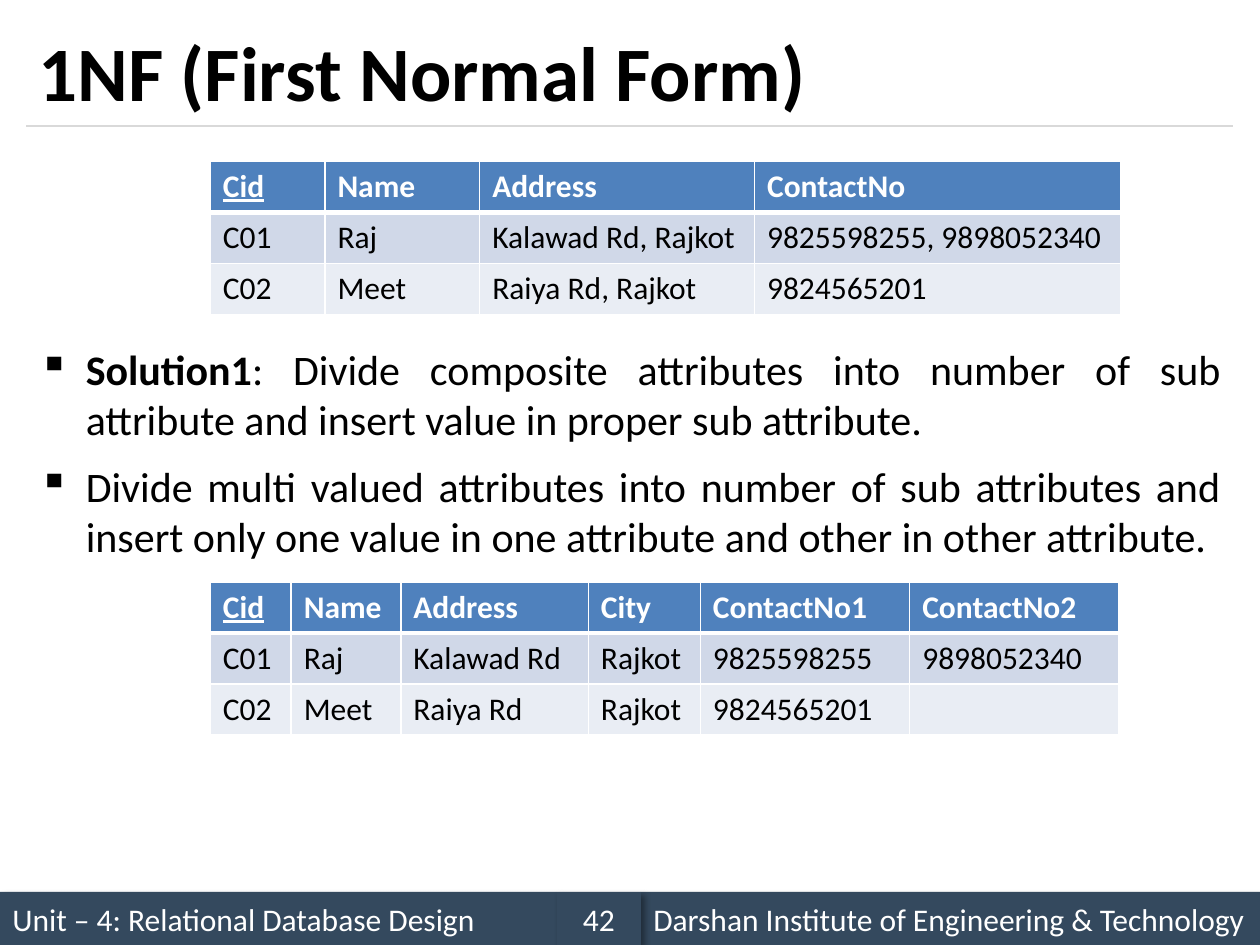
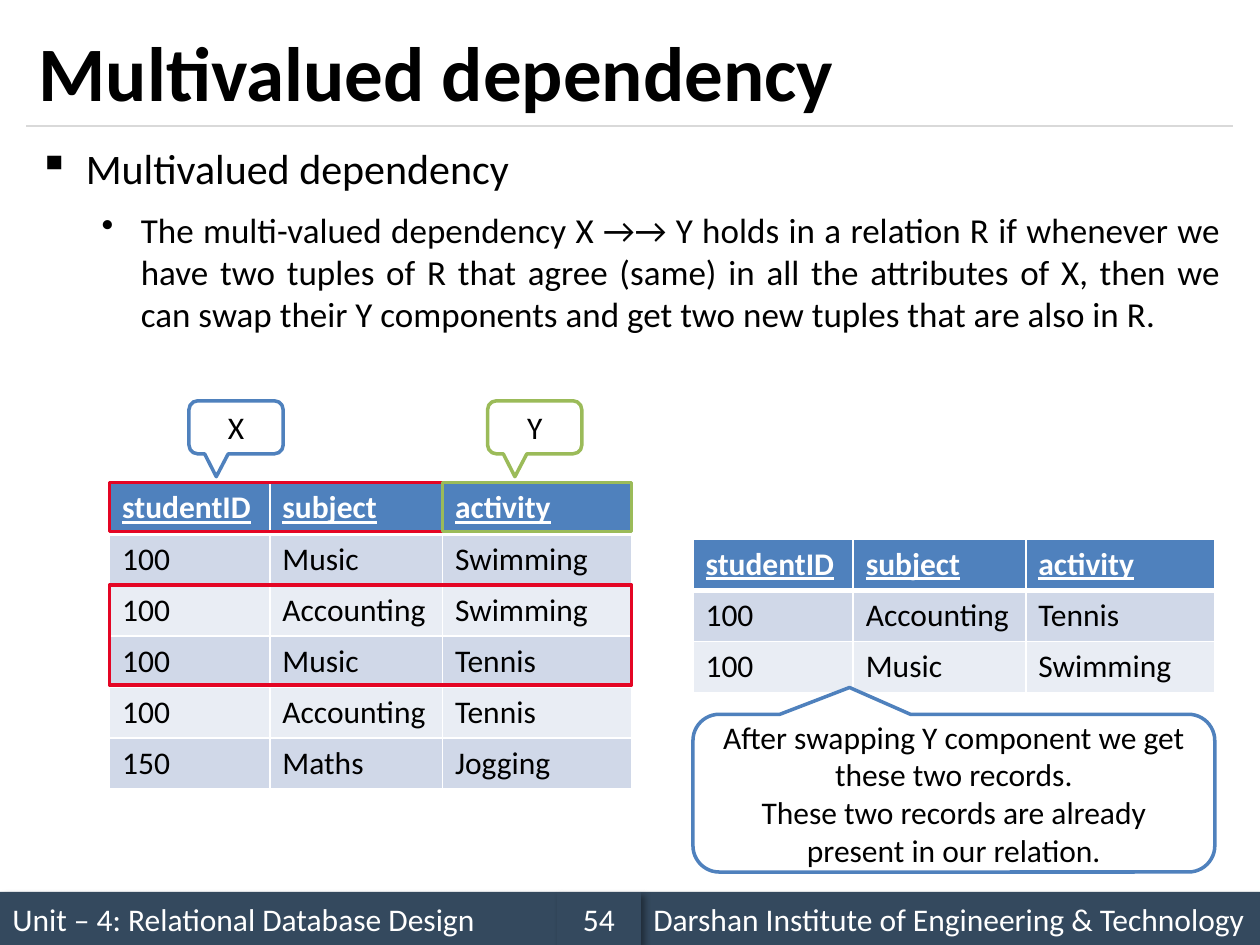
import pptx
import pptx.util
import pptx.dml.color
import pptx.enum.shapes
import pptx.enum.text
import pptx.oxml.ns
import lxml.etree

Cm = pptx.util.Cm
Pt = pptx.util.Pt
SHAPE = pptx.enum.shapes.MSO_SHAPE
ALIGN = pptx.enum.text.PP_ALIGN
ANCHOR = pptx.enum.text.MSO_ANCHOR
qn = pptx.oxml.ns.qn

FONT = "Calibri"
BLACK, WHITE, RULE, BAR = "000000", "FFFFFF", "D9D9D9", "34495E"
BLUE, GREEN, RED = "4F81BD", "9BBB59", "E40524"
STRIPES = ("D0D8E8", "E9EDF4")

UNIT = "Unit – 4: Relational Database Design"
INSTITUTE = "Darshan Institute of Engineering & Technology"
SLIDE_W, SLIDE_H = 25.4, 19.05
MARGIN, CONTENT_W = 0.53, 24.33
TITLE_TOP, TITLE_H = 0.3, 2.24
RULE_TOP, BODY_TOP = 2.54, 2.74
BAR_H, NUMBER_LEFT, NUMBER_W = 1.07, 11.23, 1.69
ROW_H = 1.03

LEVELS = (
    {"bullet": "▪", "size": 24, "left": 0.95, "hang": 0.95},
    {"bullet": "•", "size": 20, "left": 2.06, "hang": 0.79},
)

NORMAL_FORM = {
    "title": "1NF (First Normal Form)",
    "number": "42",
    "body_top": 6.8,
    "body": [
        (0, [("Solution1", True),
             (": Divide composite attributes into number of sub attribute "
              "and insert value in proper sub attribute.", False)]),
        (0, [("Divide multi valued attributes into number of sub attributes and "
              "insert only one value in one attribute and other in other attribute.", False)]),
    ],
    "tables": [
        {"left": 4.24, "top": 3.25, "columns": (2.31, 3.12, 5.54, 7.39), "keys": 1,
         "rows": [("Cid", "Name", "Address", "ContactNo"),
                  ("C01", "Raj", "Kalawad Rd, Rajkot", "9825598255, 9898052340"),
                  ("C02", "Meet", "Raiya Rd, Rajkot", "9824565201")]},
        {"left": 4.24, "top": 11.73, "columns": (1.63, 2.21, 3.78, 2.26, 4.22, 4.22), "keys": 1,
         "rows": [("Cid", "Name", "Address", "City", "ContactNo1", "ContactNo2"),
                  ("C01", "Raj", "Kalawad Rd", "Rajkot", "9825598255", "9898052340"),
                  ("C02", "Meet", "Raiya Rd", "Rajkot", "9824565201", "")]},
    ],
}

STUDENT_HEADER = ("studentID", "subject", "activity")
STUDENT_COLUMNS = (3.23, 3.48, 3.81)
RELATION = {
    "left": 2.21, "top": 9.73, "columns": STUDENT_COLUMNS, "keys": 3,
    "rows": [STUDENT_HEADER,
             ("100", "Music", "Swimming"),
             ("100", "Accounting", "Swimming"),
             ("100", "Music", "Tennis"),
             ("100", "Accounting", "Tennis"),
             ("150", "Maths", "Jogging")],
}
SWAPPED = {
    "left": 13.97, "top": 10.87, "columns": STUDENT_COLUMNS, "keys": 3,
    "rows": [STUDENT_HEADER,
             ("100", "Accounting", "Tennis"),
             ("100", "Music", "Swimming")],
}
DEPENDENCY = {
    "title": "Multivalued dependency",
    "number": "54",
    "body_top": BODY_TOP,
    "body": [
        (0, [("Multivalued dependency", False)]),
        (1, [("The multi-valued dependency X →→ Y holds in a relation R if whenever we "
              "have two tuples of R that agree (same) in all the attributes of X, then we "
              "can swap their Y components and get two new tuples that are also in R.", False)]),
    ],
    "tables": [RELATION, SWAPPED],
}
HIGHLIGHTS = [
    {"columns": (0, 2), "rows": (0, 1), "color": RED},
    {"columns": (2, 3), "rows": (0, 1), "color": GREEN},
    {"columns": (0, 3), "rows": (2, 4), "color": RED},
]
CALLOUTS = [
    {"text": "X", "box": (3.81, 8.08, 1.9, 1.07), "tip": (-0.21, 0.93), "color": BLUE},
    {"text": "Y", "box": (9.83, 8.08, 1.9, 1.07), "tip": (-0.21, 0.93), "color": GREEN},
    {"text": "After swapping Y component we get these two records.\n"
             "These two records are already present in our relation.",
     "box": (13.97, 14.4, sum(STUDENT_COLUMNS), 3.18), "tip": (-0.2, -0.67), "color": BLUE},
]


def rgb(color):
    return pptx.dml.color.RGBColor.from_string(color)


def add_xml(parent, tag, **attributes):
    return lxml.etree.SubElement(parent, qn(tag), attributes)


def format_runs(paragraph, size, color, bold=False, underline=False):
    for run in paragraph.runs:
        run.font.name = FONT
        run.font.size = Pt(size)
        run.font.bold = bold
        run.font.underline = underline
        run.font.color.rgb = rgb(color)


def add_box(slide, preset, box, fill=None, line=None, text="", color=BLACK, align=ALIGN.CENTER):
    shape = slide.shapes.add_shape(preset, *map(Cm, box))
    shape.shadow.inherit = False
    if fill:
        shape.fill.solid()
        shape.fill.fore_color.rgb = rgb(fill)
    else:
        shape.fill.background()
    if line:
        shape.line.color.rgb = rgb(line)
        shape.line.width = Pt(2)
    else:
        shape.line.fill.background()
    shape.text_frame.text = text
    shape.text_frame.vertical_anchor = ANCHOR.MIDDLE
    for paragraph in shape.text_frame.paragraphs:
        paragraph.alignment = align
        format_runs(paragraph, 18, color)
    return shape


def add_bar(slide, left, width, text, align):
    bar = add_box(slide, SHAPE.RECTANGLE, (left, SLIDE_H - BAR_H, width, BAR_H),
                  BAR, None, text, WHITE, align)
    effects = bar._element.spPr.find(qn("a:effectLst"))
    shadow = add_xml(effects, "a:outerShdw", blurRad=str(Pt(4)), dist=str(Pt(3)),
                     dir="2700000", algn="tl", rotWithShape="0")
    add_xml(add_xml(shadow, "a:srgbClr", val=BLACK), "a:alpha", val="40000")


def add_frame(slide, content):
    number_right = NUMBER_LEFT + NUMBER_W
    add_bar(slide, 0, NUMBER_LEFT, UNIT, ALIGN.LEFT)
    add_bar(slide, number_right, SLIDE_W - number_right, INSTITUTE, ALIGN.LEFT)
    add_bar(slide, NUMBER_LEFT, NUMBER_W, content["number"], ALIGN.CENTER)
    rule = slide.shapes.add_connector(
        pptx.enum.shapes.MSO_CONNECTOR.STRAIGHT,
        Cm(MARGIN), Cm(RULE_TOP), Cm(MARGIN + CONTENT_W), Cm(RULE_TOP))
    rule.line.color.rgb = rgb(RULE)
    rule.line.width = Pt(0.75)
    add_xml(rule._element.spPr, "a:effectLst")

    title = slide.shapes.add_textbox(Cm(MARGIN), Cm(TITLE_TOP), Cm(CONTENT_W), Cm(TITLE_H)).text_frame
    title.word_wrap = True
    title.vertical_anchor = ANCHOR.MIDDLE
    title.text = content["title"]
    format_runs(title.paragraphs[0], 44, BLACK, bold=True)


def add_body(slide, content):
    top = content["body_top"]
    body = slide.shapes.add_textbox(Cm(MARGIN), Cm(top), Cm(CONTENT_W), Cm(5)).text_frame
    body.word_wrap = True
    for index, (depth, parts) in enumerate(content["body"]):
        level = LEVELS[depth]
        paragraph = body.add_paragraph() if index else body.paragraphs[0]
        properties = paragraph._p.get_or_add_pPr()
        properties.set("marL", str(Cm(level["left"])))
        properties.set("indent", str(-Cm(level["hang"])))
        add_xml(properties, "a:buChar", char=level["bullet"])
        paragraph.level = depth
        paragraph.alignment = ALIGN.JUSTIFY
        if index:
            paragraph.space_before = Pt(9)
        for text, _ in parts:
            paragraph.add_run().text = text
        format_runs(paragraph, level["size"], BLACK)
        for run, (_, bold) in zip(paragraph.runs, parts):
            run.font.bold = bold


def add_borders(cell, bottom):
    properties = cell._tc.get_or_add_tcPr()
    for side, width in (("L", 1), ("R", 1), ("T", 1), ("B", bottom)):
        border = add_xml(properties, "a:ln" + side, w=str(Pt(width)))
        add_xml(add_xml(border, "a:solidFill"), "a:srgbClr", val=WHITE)


def add_records(slide, left, top, columns, keys, rows):
    table = slide.shapes.add_table(len(rows), len(columns), Cm(left), Cm(top),
                                   Cm(sum(columns)), Cm(ROW_H * len(rows))).table
    for column, width in zip(table.columns, columns):
        column.width = Cm(width)
    for r, values in enumerate(rows):
        table.rows[r].height = Cm(ROW_H)
        header = r == 0
        for c, value in enumerate(values):
            cell = table.cell(r, c)
            add_borders(cell, 3 if r == 0 else 1)
            cell.fill.solid()
            cell.fill.fore_color.rgb = rgb(BLUE if header else STRIPES[(r - 1) % 2])
            cell.text_frame.text = value
            format_runs(cell.text_frame.paragraphs[0], 18, WHITE if header else BLACK,
                        bold=header, underline=header and c < keys)


def add_highlight(slide, columns, rows, color):
    first, last = columns
    widths = RELATION["columns"]
    box = (RELATION["left"] + sum(widths[:first]), RELATION["top"] + rows[0] * ROW_H,
           sum(widths[first:last]), (rows[1] - rows[0]) * ROW_H - 0.04)
    add_box(slide, SHAPE.RECTANGLE, box, line=color)


def add_callout(slide, text, box, tip, color):
    callout = add_box(slide, SHAPE.ROUNDED_RECTANGULAR_CALLOUT, box, WHITE, color, text)
    callout.adjustments[0], callout.adjustments[1] = tip


def add_content_slide(deck, content):
    slide = deck.slides.add_slide(deck.slide_layouts[6])
    add_frame(slide, content)
    add_body(slide, content)
    for records in content["tables"]:
        add_records(slide, **records)
    return slide


def main():
    deck = pptx.Presentation()
    deck.slide_width, deck.slide_height = Cm(SLIDE_W), Cm(SLIDE_H)
    add_content_slide(deck, NORMAL_FORM)
    dependency = add_content_slide(deck, DEPENDENCY)
    for highlight in HIGHLIGHTS:
        add_highlight(dependency, **highlight)
    for callout in CALLOUTS:
        add_callout(dependency, **callout)
    deck.save("out.pptx")


if __name__ == "__main__":
    main()
